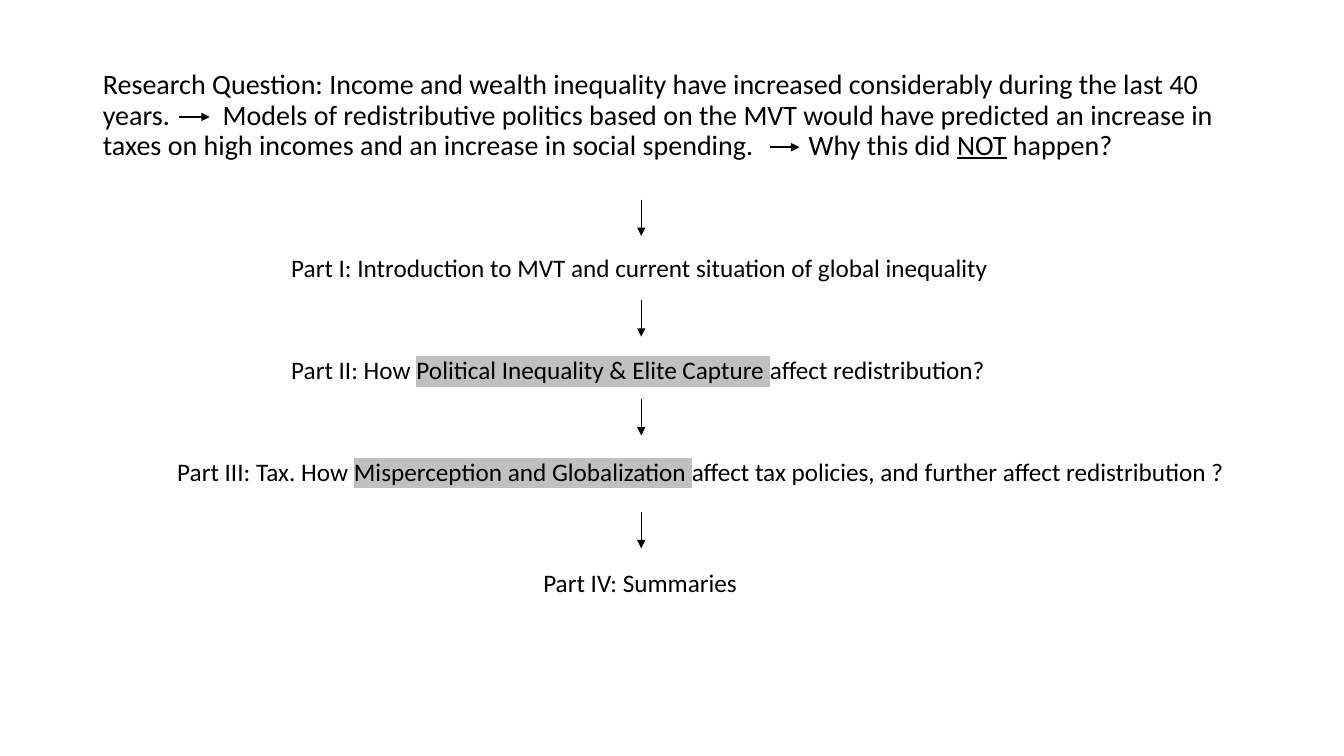
from lxml import etree
from pptx import Presentation
from pptx.dml.color import RGBColor
from pptx.enum.shapes import MSO_CONNECTOR
from pptx.enum.text import MSO_ANCHOR, MSO_AUTO_SIZE, PP_ALIGN
from pptx.oxml.ns import qn
from pptx.util import Inches, Pt

STRAIGHT = MSO_CONNECTOR.STRAIGHT
TOP = MSO_ANCHOR.TOP
LEFT = PP_ALIGN.LEFT
NO_FIT = MSO_AUTO_SIZE.NONE
GROW = MSO_AUTO_SIZE.SHAPE_TO_FIT_TEXT

FONT = "Calibri"
BLACK, GREY = "000000", "C0C0C0"
QUESTION_TABS = (1, 7)
FLOW_X = 6.36

# Each run is its text and its extra format; spacing is in points
QUESTION = [
    ("Research Question: Income and wealth inequality have increased "
     "considerably during the last 40 years. \t", {}),
    (" ", {"spacing": 9}),
    ("Models of redistributive politics based on the MVT would have predicted "
     "an increase in taxes on high incomes and an increase in social "
     "spending. \tWhy this did ", {}),
    ("NOT", {"underline": True}),
    (" happen?", {}),
]

# Left, top, width and runs of each part
PARTS = [
    (2.79, 2.45, 7.89, [
        ("Part I: Introduction to MVT and current situation of global inequality", {})]),
    (2.79, 3.47, 7.51, [
        ("Part II: How ", {}),
        ("Political Inequality & Elite Capture ", {"highlight": GREY}),
        ("affect redistribution?", {})]),
    (1.66, 4.48, 10.76, [
        ("Part III: Tax. How ", {}),
        ("Misperception and Globalization ", {"highlight": GREY}),
        ("affect tax policies, and further affect redistribution ?", {})]),
    (5.29, 5.58, 2.14, [("Part IV: Summaries", {})]),
]

# Start and end of each arrow: two within the question, four down the flow
ARROWS = [(1.78, 1.16, 2.08, 1.16), (7.64, 1.46, 7.93, 1.46)]
ARROWS += [(FLOW_X, y, FLOW_X, y + 0.36) for y in (1.98, 2.98, 3.96, 5.08)]


def color(hex_value):
    return RGBColor.from_string(hex_value)


def set_attrs(target, values):
    for name, value in values.items():
        setattr(target, name, value)


def add_highlight(r, hex_value):
    fill = r.font._element.find(qn("a:solidFill"))
    mark = etree.Element(qn("a:highlight"))
    etree.SubElement(mark, qn("a:srgbClr"), val=hex_value)
    fill.addnext(mark)


def add_runs(p, runs, size):
    for text, extra in runs:
        r = p.add_run()
        r.text = text
        r.font.color.rgb = color(BLACK)
        set_attrs(r.font, {"name": FONT, "size": Pt(size),
                           "underline": extra.get("underline")})
        if "highlight" in extra:
            add_highlight(r, extra["highlight"])
        if "spacing" in extra:
            r.font._element.set("spc", str(extra["spacing"] * 100))


def fill_question(sp):
    set_attrs(sp, {"left": Inches(0.92), "top": Inches(0.65),
                   "width": Inches(11.5), "height": Inches(5.76)})
    tf = sp.text_frame
    set_attrs(tf, {"word_wrap": True, "auto_size": NO_FIT, "vertical_anchor": TOP})
    p = tf.paragraphs[0]
    # No bullet or indent, and tab stops that leave room for the arrows
    pPr = p._p.get_or_add_pPr()
    pPr.set("marL", "0")
    pPr.set("indent", "0")
    etree.SubElement(pPr, qn("a:buNone"))
    tabs = etree.SubElement(pPr, qn("a:tabLst"))
    for stop in QUESTION_TABS:
        etree.SubElement(tabs, qn("a:tab"), pos=str(Inches(stop)), algn="l")
    set_attrs(p, {"line_spacing": 0.9, "space_before": Pt(0), "alignment": LEFT})
    add_runs(p, QUESTION, 20)


def add_part(s, left, top, width, runs):
    sp = s.shapes.add_textbox(Inches(left), Inches(top), Inches(width), Inches(0.4))
    tf = sp.text_frame
    set_attrs(tf, {"word_wrap": True, "auto_size": GROW})
    add_runs(tf.paragraphs[0], runs, 18)


def add_arrow(s, *ends):
    line = s.shapes.add_connector(STRAIGHT, *map(Inches, ends))
    line.line.color.rgb = color(BLACK)
    line.line.width = Pt(1)
    etree.SubElement(line.line._get_or_add_ln(), qn("a:tailEnd"), type="triangle")
    etree.SubElement(line._element.spPr, qn("a:effectLst"))


def main():
    prs = Presentation()
    set_attrs(prs, {"slide_width": Inches(13.33), "slide_height": Inches(7.5)})
    s = prs.slides.add_slide(prs.slide_layouts[1])

    # The slide has no title
    title = s.shapes.title._element
    title.getparent().remove(title)

    fill_question(s.placeholders[1])
    for part in PARTS:
        add_part(s, *part)
    for ends in ARROWS:
        add_arrow(s, *ends)

    prs.save("out.pptx")


if __name__ == "__main__":
    main()
